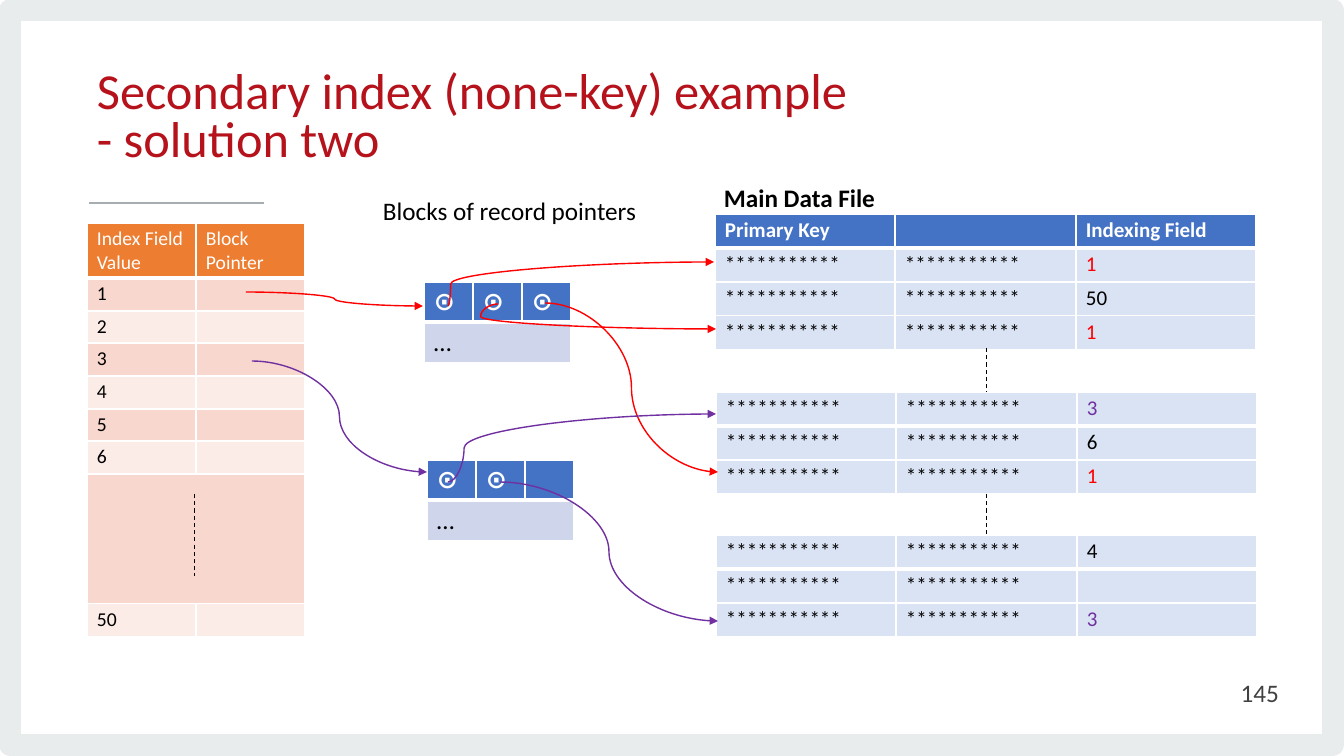
from lxml import etree
from pptx import Presentation
from pptx.dml.color import RGBColor
from pptx.enum.dml import MSO_LINE
from pptx.enum.shapes import MSO_CONNECTOR, MSO_SHAPE
from pptx.enum.text import MSO_ANCHOR, PP_ALIGN
from pptx.oxml.ns import qn
from pptx.util import Pt

DASH = MSO_LINE.DASH
STRAIGHT, CURVE = MSO_CONNECTOR.STRAIGHT, MSO_CONNECTOR.CURVE
RECTANGLE = MSO_SHAPE.RECTANGLE
TOP, MIDDLE = MSO_ANCHOR.TOP, MSO_ANCHOR.MIDDLE
LEFT, RIGHT = PP_ALIGN.LEFT, PP_ALIGN.RIGHT

WHITE, BLACK = RGBColor(255, 255, 255), RGBColor(0, 0, 0)
RED, PURPLE = RGBColor(255, 0, 0), RGBColor(0x70, 0x30, 0xA0)
CRIMSON, CHARCOAL = RGBColor(0xB5, 0x12, 0x1B), RGBColor(0x41, 0x40, 0x42)
FRAME_GREY, RULE_GREY = RGBColor(0xE9, 0xEC, 0xED), RGBColor(0xA6, 0xAD, 0xB1)
BLUE, PALE_BLUE = RGBColor(0x44, 0x72, 0xC4), RGBColor(0xDA, 0xE3, 0xF3)
GREY_BLUE = RGBColor(0xCF, 0xD5, 0xEA)
ORANGE = RGBColor(0xED, 0x7D, 0x31)
PEACH, PALE_PEACH = RGBColor(0xF8, 0xD7, 0xCE), RGBColor(0xFC, 0xEC, 0xE8)
FONT = "Calibri"

# Content: texts as (text, box, size, colour, bold, align, anchor, line spacing)
TEXTS = [
    ("Secondary index (none-key) example\v- solution two", (87, 52, 886, 135),
     36, CRIMSON, False, LEFT, MIDDLE, Pt(34.7)),
    ("145", (987, 672, 302, 40), 18, CHARCOAL, False, RIGHT, MIDDLE, 1.0),
    ("Main Data File", (714, 177, 173, 40), 18, BLACK, True, LEFT, TOP, 1.0),
    ("Blocks of record pointers", (373, 190, 276, 40), 18, BLACK, False, LEFT, TOP, 1.0),
]
STARS = "***********"
MAIN_HEADER = ["Primary Key", "", "Indexing Field"]
# Blocks of the main file: left, top, has a header, indexing field values
MAIN_BLOCKS = [
    (715, 214, True, ["1", "50", "1"]),
    (716, 392, False, ["3", "6", "1"]),
    (716, 535, False, ["4", "", "3"]),
]
KEY_COLORS = {"1": RED, "3": PURPLE}
INDEX_HEADER = ["Index Field Value", "Block Pointer"]
INDEX_VALUES = ["1", "2", "3", "4", "5", "6", "", "50"]
INDEX_HEIGHTS = [55] + [33, 32, 33] * 2 + [130, 33]
POINTER_BLOCKS = [(424, 282, ["⊙", "⊙", "⊙"]), (427, 460, ["⊙", "⊙", ""])]

# Lines: start, end
GAPS = [((195, 494), (195, 576)), ((987, 348), (987, 392)), ((987, 494), (987, 535))]
# Arrows: start, end, colour, bend position along the width
ARROWS = [
    ((246, 292), (423, 306), RED, 0.5),
    ((448, 306), (714, 262), RED, 0.01),
    ((498, 304), (716, 329), RED, -0.08),
    ((545, 303), (718, 472), RED, 0.5),
    ((252, 361), (427, 472), PURPLE, 0.5),
    ((448, 482), (716, 414), PURPLE, 0.06),
    ((500, 482), (718, 621), PURPLE, 0.5),
]


def px(n):
    return round(n * 914400 / 100.8)


def set_font(r, **values):
    r.font.name = FONT
    color = values.pop("color")
    for name, value in values.items():
        setattr(r.font, name, value)
    r.font.color.rgb = color


def add_text(text, box, size, color, bold, align, anchor, spacing):
    tf = slide.shapes.add_textbox(*map(px, box)).text_frame
    tf.word_wrap, tf.vertical_anchor = True, anchor
    p = tf.paragraphs[0]
    p.text, p.alignment, p.line_spacing = text, align, spacing
    for r in p.runs:
        set_font(r, size=Pt(size), bold=bold, color=color)


def add_line(kind, start, end, color, width):
    c = slide.shapes.add_connector(kind, *map(px, start + end))
    c.line.color.rgb, c.line.width = color, Pt(width)
    etree.SubElement(c._element.spPr, qn("a:effectLst"))
    return c


def set_borders(cell, top, bottom):
    tcPr = cell._tc.get_or_add_tcPr()
    for i, (side, width) in enumerate([("L", 1), ("R", 1), ("T", top), ("B", bottom)]):
        ln = etree.Element(qn("a:ln" + side), w=str(Pt(width)))
        fill = etree.SubElement(ln, qn("a:solidFill"))
        etree.SubElement(fill, qn("a:srgbClr"), val=str(WHITE))
        tcPr.insert(i, ln)


def add_table(left, top, widths, heights, rows, size, margin, merged=None):
    """Each row is a list of cells: (text, text colour, bold, fill)."""
    table = slide.shapes.add_table(len(rows), len(widths), px(left), px(top),
                                   px(sum(widths)), px(sum(heights))).table
    for column, width in zip(table.columns, widths):
        column.width = px(width)
    for i, row in enumerate(rows):
        table.rows[i].height = px(heights[i])
        for j, (text, color, bold, fill) in enumerate(row):
            cell = table.cell(i, j)
            cell.margin_left = cell.margin_right = px(10)
            cell.margin_top = cell.margin_bottom = px(margin)
            cell.fill.solid()
            cell.fill.fore_color.rgb = fill
            set_borders(cell, 3 if i == 1 else 1, 3 if i == 0 else 1)
            p = cell.text_frame.paragraphs[0]
            if text:
                r = p.add_run()
                r.text = text
                set_font(r, size=Pt(size), bold=bold, color=color)
            else:
                etree.SubElement(p._p, qn("a:endParaRPr"), sz=str(size * 100))
    if merged is not None:
        table.cell(merged, 0).merge(table.cell(merged, len(widths) - 1))


prs = Presentation()
prs.slide_width, prs.slide_height = px(1344), px(756)
slide = prs.slides.add_slide(prs.slide_layouts[6])

# Frame and rule
sp = slide.shapes.add_shape(RECTANGLE, px(10), px(10), px(1323), px(735))
sp.shadow.inherit = False
sp.fill.background()
sp.line.color.rgb, sp.line.width = FRAME_GREY, Pt(15.11)
etree.SubElement(sp.line._get_or_add_ln(), qn("a:round"))
add_line(STRAIGHT, (89, 203), (264, 203), RULE_GREY, 1.33)

# Title, labels and page number
for item in TEXTS:
    add_text(*item)

# Main data file
for left, top, has_header, values in MAIN_BLOCKS:
    rows = [[(t, WHITE, True, BLUE) for t in MAIN_HEADER]] if has_header else []
    for value in values:
        stars = (STARS, BLACK, False, PALE_BLUE)
        rows.append([stars, stars, (value, KEY_COLORS.get(value, BLACK), False, PALE_BLUE)])
    add_table(left, top, [180, 181, 180], [34] * len(rows), rows, 15, 4)

# Index
rows = [[(t, WHITE, False, ORANGE) for t in INDEX_HEADER]]
for i, value in enumerate(INDEX_VALUES):
    fill = PALE_PEACH if i % 2 else PEACH
    rows.append([(t, BLACK, False, fill) for t in (value, "")])
add_table(87, 223, [109, 109], INDEX_HEIGHTS, rows, 14, 4, merged=7)

# Blocks of record pointers
for left, top, pointers in POINTER_BLOCKS:
    rows = [[(t, WHITE, True, BLUE) for t in pointers],
            [(t, BLACK, False, GREY_BLUE) for t in ("…", "", "")]]
    add_table(left, top, [49] * 3, [40] * 2, rows, 18, 5, merged=1)

# Dashed gaps and pointer arrows
for start, end in GAPS:
    add_line(STRAIGHT, start, end, BLACK, 0.75).line.dash_style = DASH
for start, end, color, bend in ARROWS:
    c = add_line(CURVE, start, end, color, 1)
    etree.SubElement(c.line._get_or_add_ln(), qn("a:tailEnd"), type="triangle")
    guides = c._element.spPr.find(qn("a:prstGeom")).find(qn("a:avLst"))
    etree.SubElement(guides, qn("a:gd"), name="adj1", fmla=f"val {round(bend * 100000)}")

prs.save("out.pptx")
